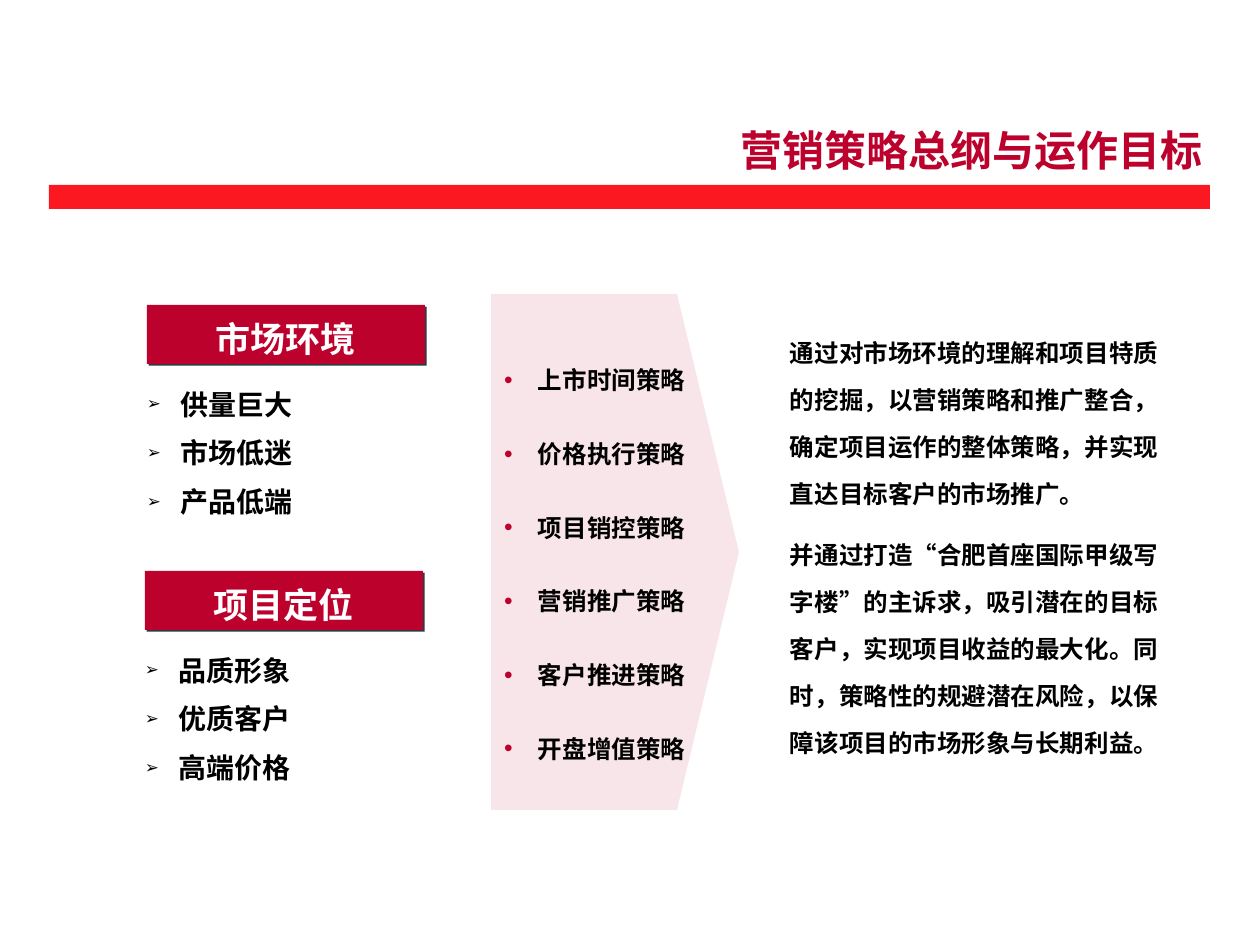
from dataclasses import dataclass
from typing import Optional

from lxml.etree import SubElement
from pptx import Presentation
from pptx.dml.color import RGBColor
from pptx.enum.shapes import MSO_SHAPE
from pptx.enum.text import MSO_ANCHOR as Anchor, PP_ALIGN as Align
from pptx.oxml.ns import qn
from pptx.util import Pt

PX = 914400 // 126
CRIMSON = RGBColor(0xBB, 0x01, 0x2C)
RED = RGBColor(0xFB, 0x18, 0x21)
SLATE = RGBColor(0x2C, 0x3A, 0x44)
BLACK = RGBColor(0, 0, 0)
WHITE = RGBColor(0xFF, 0xFF, 0xFF)
CJK_FONT = "Noto Sans CJK SC"
HANGING = 34


@dataclass(frozen=True)
class Bullet:
    char: str
    color: RGBColor
    percent: int


@dataclass(frozen=True)
class TextStyle:
    size: int
    line: float
    color: RGBColor = BLACK
    font: str = "Arial"
    align: Align = Align.LEFT
    anchor: Anchor = Anchor.MIDDLE
    inset: tuple[int, int] = (13, 6)
    before: float = 0
    after: float = 0
    bullet: Optional[Bullet] = None


@dataclass(frozen=True)
class Topic:
    heading: str
    points: tuple[str, ...]
    left: int
    top: int


TITLE = TextStyle(24, 31, CRIMSON, align=Align.RIGHT, anchor=Anchor.TOP)
HEADING = TextStyle(20, 28.5, WHITE, align=Align.CENTER)
POINTS = TextStyle(16, 26.8, font=CJK_FONT, anchor=Anchor.TOP, inset=(0, 0),
                   after=1, bullet=Bullet("➢", BLACK, 60))
STRATEGY = TextStyle(14, 42.1, font=CJK_FONT, bullet=Bullet("•", CRIMSON, 100))
GOAL = TextStyle(14, 26.9, before=7.9)

TOPICS = (
    Topic("市场环境", ("供量巨大", "市场低迷", "产品低端"), 147, 305),
    Topic("项目定位", ("品质形象", "优质客户", "高端价格"), 145, 571),
)
STRATEGIES = ("上市时间策略", "价格执行策略", "项目销控策略",
              "营销推广策略", "客户推进策略", "开盘增值策略")
GOALS = (
    "通过对市场环境的理解和项目特质的挖掘，以营销策略和推广整合，"
    "确定项目运作的整体策略，并实现直达目标客户的市场推广。",
    "并通过打造“合肥首座国际甲级写字楼”的主诉求，吸引潜在的目标客户，"
    "实现项目收益的最大化。同时，策略性的规避潜在风险，以保障该项目的市场形象与长期利益。",
)
ARROW = ((491, 294), (677, 294), (739, 552), (677, 810), (491, 810))


def set_values(target, values: dict) -> None:
    for name, value in values.items():
        setattr(target, name, value)


def add_bullet(paragraph, bullet: Bullet) -> None:
    props = paragraph._p.get_or_add_pPr()
    props.set("marL", str(HANGING * PX))
    props.set("indent", str(-HANGING * PX))
    color = SubElement(props, qn("a:buClr"))
    SubElement(color, qn("a:srgbClr"), val=str(bullet.color))
    SubElement(props, qn("a:buSzPct"), val=str(bullet.percent * 1000))
    SubElement(props, qn("a:buFont"), typeface="Arial")
    SubElement(props, qn("a:buChar"), char=bullet.char)


def write(shape, lines: tuple[str, ...], style: TextStyle) -> None:
    frame = shape.text_frame
    across, down = (inset * PX for inset in style.inset)
    set_values(frame, dict(word_wrap=True, vertical_anchor=style.anchor,
                           margin_left=across, margin_right=across,
                           margin_top=down, margin_bottom=down))
    for index, line in enumerate(lines):
        paragraph = frame.add_paragraph() if index else frame.paragraphs[0]
        if style.bullet:
            add_bullet(paragraph, style.bullet)
        set_values(paragraph, dict(alignment=style.align,
                                   line_spacing=Pt(style.line),
                                   space_before=Pt(style.before if index else 0),
                                   space_after=Pt(style.after)))
        run = paragraph.add_run()
        run.text = line
        set_values(run.font, dict(size=Pt(style.size), bold=True, name=style.font))
        run.font.color.rgb = style.color
        SubElement(run._r.get_or_add_rPr(), qn("a:ea"), typeface=CJK_FONT)


def add_text(slide, box: tuple[int, ...], lines: tuple[str, ...], style: TextStyle) -> None:
    write(slide.shapes.add_textbox(*(v * PX for v in box)), lines, style)


def paint(shape, color: RGBColor) -> None:
    shape.shadow.inherit = False
    shape.fill.solid()
    shape.fill.fore_color.rgb = color
    shape.line.fill.background()


def add_bar(slide, box: tuple[int, ...], color: RGBColor):
    bar = slide.shapes.add_shape(MSO_SHAPE.RECTANGLE, *(v * PX for v in box))
    paint(bar, color)
    return bar


def add_hard_shadow(shape) -> None:
    effects = shape._element.spPr.find(qn("a:effectLst"))
    shadow = SubElement(effects, qn("a:outerShdw"), dist=str(Pt(1.4)),
                        dir=str(45 * 60000), algn="ctr", rotWithShape="0")
    SubElement(shadow, qn("a:srgbClr"), val=str(SLATE))


def add_topic(slide, topic: Topic) -> None:
    heading = add_bar(slide, (topic.left, topic.top, 278, 59), CRIMSON)
    add_hard_shadow(heading)
    write(heading, (topic.heading,), HEADING)
    add_text(slide, (topic.left, topic.top + 69, 338, 145), topic.points, POINTS)


def add_arrow_panel(slide) -> None:
    builder = slide.shapes.build_freeform(*ARROW[0], scale=PX)
    builder.add_line_segments(ARROW[1:], close=True)
    panel = builder.convert_to_shape()
    paint(panel, CRIMSON)
    color = panel._element.spPr.find(qn("a:solidFill")).find(qn("a:srgbClr"))
    SubElement(color, qn("a:alpha"), val="10000")


def main() -> None:
    deck = Presentation()
    set_values(deck, dict(slide_width=1260 * PX, slide_height=945 * PX))
    slide = deck.slides.add_slide(deck.slide_layouts[6])
    add_bar(slide, (49, 185, 1161, 24), RED)
    add_text(slide, (709, 115, 507, 63), ("营销策略总纲与运作目标",), TITLE)
    for topic in TOPICS:
        add_topic(slide, topic)
    add_arrow_panel(slide)
    add_text(slide, (491, 284, 307, 516), STRATEGIES, STRATEGY)
    add_text(slide, (777, 314, 398, 450), GOALS, GOAL)
    deck.save("out.pptx")


if __name__ == "__main__":
    main()
